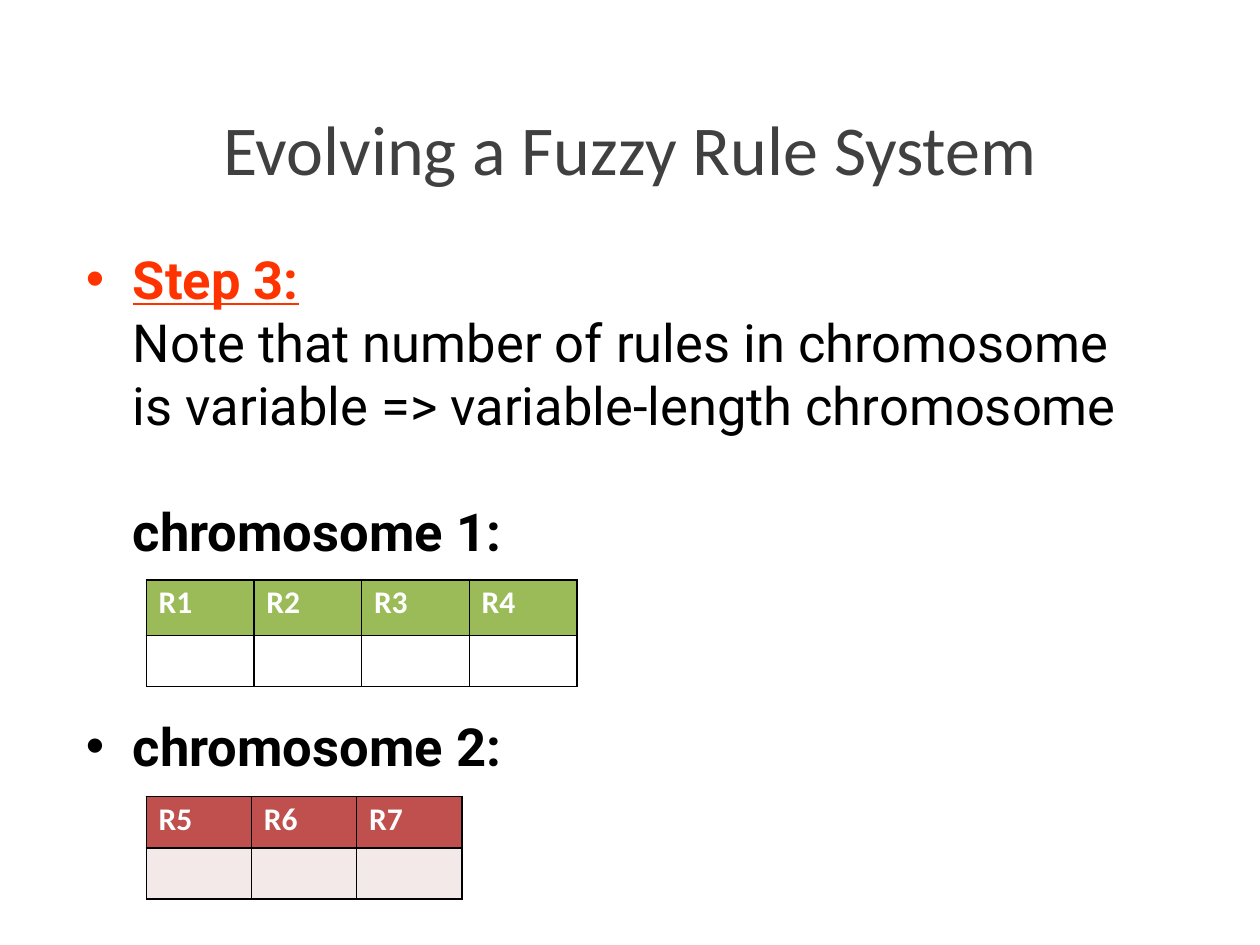
from dataclasses import dataclass

from lxml import etree
from pptx import Presentation
from pptx.dml.color import RGBColor
from pptx.enum.text import MSO_ANCHOR, MSO_AUTO_SIZE, PP_ALIGN
from pptx.oxml.ns import qn
from pptx.util import Cm, Pt

TOP, CENTER, LEFT = MSO_ANCHOR.TOP, PP_ALIGN.CENTER, PP_ALIGN.LEFT
NO_FIT = MSO_AUTO_SIZE.NONE

COLORS = {
    "title": "404040",
    "step": "FF3300",
    "text": "000000",
    "border": "000000",
    "white": "FFFFFF",
    "green": "9BBA58",
    "red": "C0504D",
    "pink": "F4E9E9",
}


@dataclass
class Item:
    text: str
    color: str = "text"
    bold: bool = True
    underline: bool = False
    bullet: bool = False
    before: float = 0


@dataclass
class Chromosome:
    rules: list[str]
    top: float
    col_width: float
    row_heights: tuple[float, float]
    head: str
    body: str


ITEMS = [
    Item("Step 3:", "step", underline=True, bullet=True, before=1),
    Item("Note that number of rules in chromosome is variable => "
         "variable-length chromosome", bold=False),
    Item("chromosome 1:", before=36),
    Item("chromosome 2:", bullet=True, before=87),
]

CHROMOSOMES = [
    Chromosome(["R1", "R2", "R3", "R4"], 11.69, 2.17, (1.12, 1.03), "green", "white"),
    Chromosome(["R5", "R6", "R7"], 16.06, 2.12, (1.03, 1.03), "red", "pink"),
]


def rgb(name: str) -> RGBColor:
    return RGBColor.from_string(COLORS[name])


def place(sp, left: float, top: float, width: float, height: float):
    sp.left, sp.top, sp.width, sp.height = Cm(left), Cm(top), Cm(width), Cm(height)
    tf = sp.text_frame
    tf.margin_left = tf.margin_right = tf.margin_top = tf.margin_bottom = 0
    tf.word_wrap = True
    tf.auto_size = NO_FIT
    tf.vertical_anchor = TOP
    return tf


def set_font(p, name: str, size: float, color: str, bold: bool) -> None:
    p.font.name = name
    p.font.size = Pt(size)
    p.font.bold = bold
    p.font.color.rgb = rgb(color)


def add_item(p, item: Item) -> None:
    p.text = item.text
    p.space_before = Pt(item.before)
    p.alignment = LEFT
    set_font(p, "Roboto", 30, item.color, item.bold)
    p.font.underline = item.underline
    pPr = p._p.get_or_add_pPr()
    pPr.set("marL", str(Cm(0.98)))
    pPr.set("indent", str(Cm(-0.95) if item.bullet else 0))
    if not item.bullet:
        bu = etree.Element(qn("a:buNone"))
        pPr.find(qn("a:defRPr")).addprevious(bu)


def style_cell(cell, fill: str) -> None:
    cell.margin_left = Cm(0.25)
    cell.margin_right = cell.margin_bottom = 0
    cell.margin_top = Cm(0.08)
    tcPr = cell._tc.get_or_add_tcPr()
    for side in ("lnL", "lnR", "lnT", "lnB"):
        ln = etree.SubElement(tcPr, qn(f"a:{side}"), w=str(Pt(1)))
        solid = etree.SubElement(ln, qn("a:solidFill"))
        etree.SubElement(solid, qn("a:srgbClr"), val=COLORS["border"])
    cell.fill.solid()
    cell.fill.fore_color.rgb = rgb(fill)


def add_chromosome(s, c: Chromosome) -> None:
    n = len(c.rules)
    table = s.shapes.add_table(2, n, Cm(2.95), Cm(c.top), Cm(c.col_width * n),
                               Cm(sum(c.row_heights))).table
    for row, height in zip(table.rows, c.row_heights):
        row.height = Cm(height)
    for i, rule in enumerate(c.rules):
        table.columns[i].width = Cm(c.col_width)
        head, body = table.cell(0, i), table.cell(1, i)
        style_cell(head, c.head)
        style_cell(body, c.body)
        p = head.text_frame.paragraphs[0]
        p.text = rule
        p.space_before = Pt(2.5)
        set_font(p, "Calibri", 18, "white", True)


def main() -> None:
    prs = Presentation()
    prs.slide_width, prs.slide_height = Cm(25.4), Cm(19.05)
    s = prs.slides.add_slide(prs.slide_layouts[1])

    tf = place(s.shapes.title, 4.42, 2.13, 16.56, 1.75)
    p = tf.paragraphs[0]
    p.text = "Evolving a Fuzzy Rule System"
    p.alignment = CENTER
    set_font(p, "Calibri", 40, "title", False)

    tf = place(s.placeholders[1], 1.7, 4.97, 21.16, 10.74)
    for i, item in enumerate(ITEMS):
        add_item(tf.add_paragraph() if i else tf.paragraphs[0], item)

    for c in CHROMOSOMES:
        add_chromosome(s, c)

    prs.save("out.pptx")


if __name__ == "__main__":
    main()
